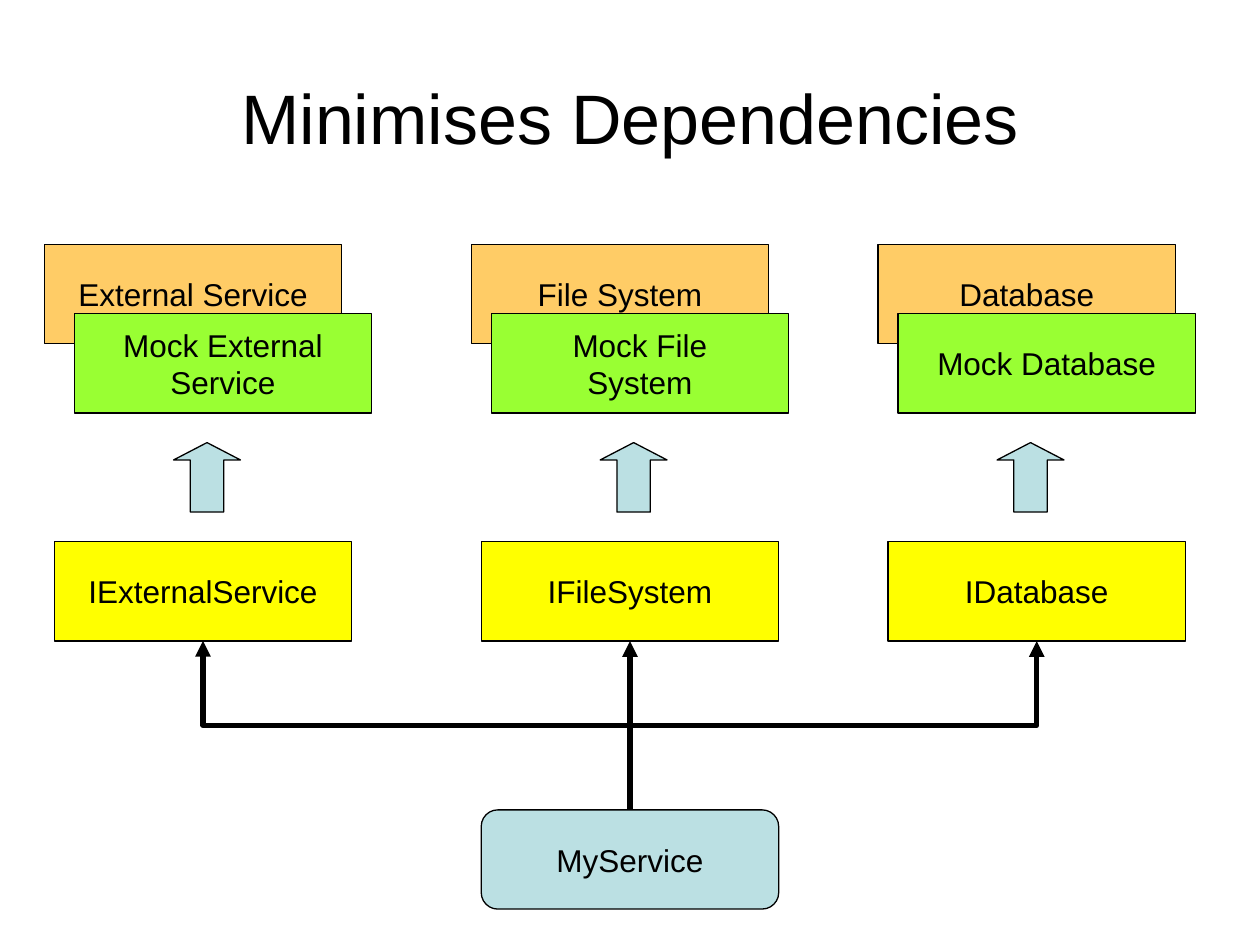
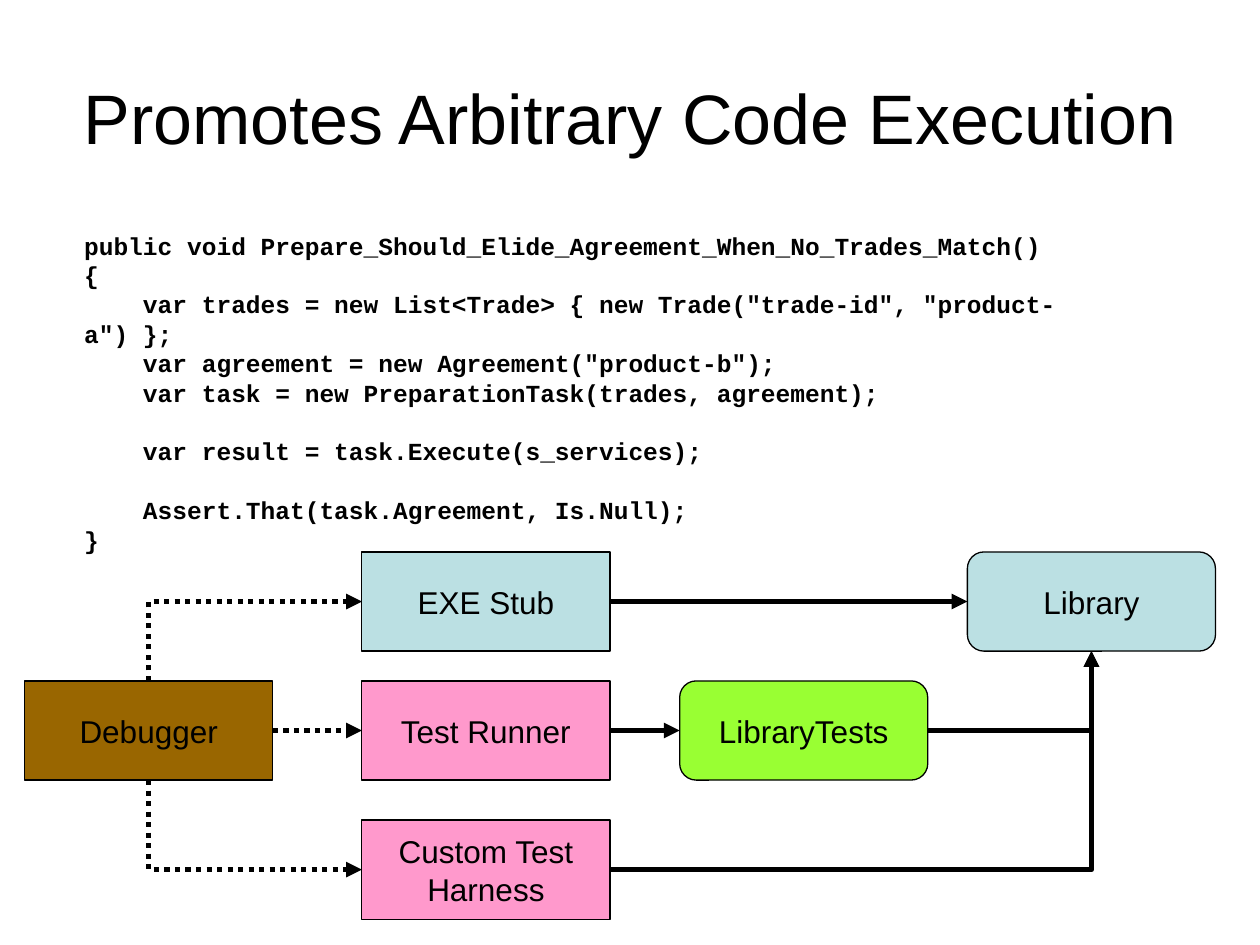
from typing import NamedTuple

import pptx
import pptx.dml.color
import pptx.enum.dml
import pptx.enum.shapes
import pptx.enum.text
import pptx.oxml
import pptx.oxml.ns
import pptx.presentation
import pptx.shapes.autoshape
import pptx.slide
import pptx.text.text
import pptx.util

Pt = pptx.util.Pt
RGB = pptx.dml.color.RGBColor
Kind = pptx.enum.shapes.MSO_SHAPE
Line = pptx.enum.shapes.MSO_CONNECTOR
Align = pptx.enum.text.PP_ALIGN
Anchor = pptx.enum.text.MSO_ANCHOR
Fit = pptx.enum.text.MSO_AUTO_SIZE
qn = pptx.oxml.ns.qn

# Shared look
BLACK = RGB(0x00, 0x00, 0x00)
BLUE = RGB(0xBB, 0xE0, 0xE3)
ORANGE = RGB(0xFF, 0xCC, 0x66)
GREEN = RGB(0x99, 0xFF, 0x33)
YELLOW = RGB(0xFF, 0xFF, 0x00)
PINK = RGB(0xFF, 0x99, 0xCC)
BROWN = RGB(0x99, 0x66, 0x00)
SANS, MONO = "Arial", "Courier New"
BOX = Kind.FLOWCHART_PROCESS
ROUND = Kind.FLOWCHART_ALTERNATE_PROCESS
TALL = 56.7  # height of every box
TOP, LEFT, BOTTOM, RIGHT = range(4)  # sides of a box


class Node(NamedTuple):
    text: str
    x: float
    y: float
    wide: float
    fill: RGB
    kind: Kind = BOX


class Stack(NamedTuple):
    """One column: a real service, its mock and their interface."""
    real: str
    mock: str
    face: str
    x: float
    shift: float  # from the interface to the mock
    arrow: float


class Link(NamedTuple):
    start: str
    out: int
    end: str
    into: int
    bend: str = ""  # preset of a bent line
    dots: bool = False


Shapes = dict[str, pptx.shapes.autoshape.Shape]


def add_run(para: pptx.text.text._Paragraph, text: str, size: float,
            face: str = SANS, bold: bool = False) -> None:
    run = para.add_run()
    run.text = text
    run.font.name = face
    run.font.size = Pt(size)
    run.font.bold = bold
    run.font.color.rgb = BLACK


def add_page(deck: pptx.presentation.Presentation, text: str) -> pptx.slide.Slide:
    page = deck.slides.add_slide(deck.slide_layouts[5])
    title = page.shapes.title
    title.left, title.top, title.width, title.height = Pt(36), Pt(21.6), Pt(648), Pt(90)
    frame = title.text_frame
    frame.auto_size = Fit.NONE
    frame.vertical_anchor = Anchor.MIDDLE
    frame.paragraphs[0].alignment = Align.CENTER
    add_run(frame.paragraphs[0], text, 40)
    return page


def add_shape(page: pptx.slide.Slide, kind: Kind, x: float, y: float, wide: float,
              tall: float, fill: RGB) -> pptx.shapes.autoshape.Shape:
    shape = page.shapes.add_shape(kind, Pt(x), Pt(y), Pt(wide), Pt(tall))
    shape.shadow.inherit = False
    shape.fill.solid()
    shape.fill.fore_color.rgb = fill
    shape.line.color.rgb = BLACK
    shape.line.width = Pt(0.75)
    return shape


def add_nodes(page: pptx.slide.Slide, nodes: list[Node]) -> Shapes:
    shapes = {}
    for node in nodes:
        shape = add_shape(page, node.kind, node.x, node.y, node.wide, TALL, node.fill)
        frame = shape.text_frame
        frame.word_wrap = False
        frame.vertical_anchor = Anchor.MIDDLE
        for i, text in enumerate(node.text.split("\n")):
            para = frame.add_paragraph() if i else frame.paragraphs[0]
            para.alignment = Align.CENTER
            add_run(para, text, 18)
        shapes[node.text] = shape
    return shapes


def add_link(page: pptx.slide.Slide, shapes: Shapes, link: Link) -> None:
    style = Line.ELBOW if link.bend else Line.STRAIGHT
    line = page.shapes.add_connector(style, 0, 0, 0, 0)
    line.begin_connect(shapes[link.start], link.out)
    line.end_connect(shapes[link.end], link.into)
    line.line.color.rgb = BLACK
    line.line.width = Pt(3)
    if link.dots:
        line.line.dash_style = pptx.enum.dml.MSO_LINE.ROUND_DOT
    props = line.element.spPr
    if link.bend:
        props.find(qn("a:prstGeom")).set("prst", link.bend)
        if link.out in (TOP, BOTTOM):
            turn(line)
    tail = pptx.oxml.parse_xml(f'<a:tailEnd {pptx.oxml.ns.nsdecls("a")} type="triangle"/>')
    props.find(qn("a:ln")).append(tail)
    props.append(pptx.oxml.parse_xml(f'<a:effectLst {pptx.oxml.ns.nsdecls("a")}/>'))


def turn(line: pptx.shapes.connector.Connector) -> None:
    """Make a bent line leave its start upright: a quarter turn about its centre."""
    rise = line.end_y < line.begin_y
    back = line.end_x < line.begin_x
    wide, tall = line.width, line.height
    line.left += (wide - tall) // 2
    line.top += (tall - wide) // 2
    line.width, line.height = tall, wide
    frame = line.element.spPr.find(qn("a:xfrm"))
    frame.set("rot", str((270 if rise else 90) * 60000))
    frame.set("flipH", "0")
    frame.set("flipV", str(int(rise == back)))


def add_code(page: pptx.slide.Slide, code: str) -> None:
    box = page.shapes.add_textbox(Pt(41), Pt(128.2), Pt(620.6), Pt(175.7))
    frame = box.text_frame
    frame.word_wrap = False
    para, gap = frame.paragraphs[0], False
    for i, text in enumerate(code.split("\n")):
        if not text:
            gap = True
            continue
        if i:
            para = frame.add_paragraph()
        if gap:
            para.space_before = Pt(16.8)
        gap = False
        add_run(para, text, 14, MONO, True)


# Slide 1: services behind interfaces
WIDE = 170
STACKS = [
    Stack("External Service", "Mock External\nService", "IExternalService", 31, 11.4, 99.2),
    Stack("File System", "Mock File\nSystem", "IFileSystem", 275, 5.7, 343),
    Stack("Database", "Mock Database", "IDatabase", 507.4, 5.7, 569.8),
]


def add_mocks(deck: pptx.presentation.Presentation) -> None:
    page = add_page(deck, "Minimises Dependencies")
    nodes = [Node("MyService", 275, 462.8, WIDE, BLUE, ROUND)]
    for stack in STACKS:
        nodes += [
            Node(stack.real, stack.x - 5.7, 139.7, WIDE, ORANGE),
            Node(stack.mock, stack.x + stack.shift, 179.3, WIDE, GREEN),
            Node(stack.face, stack.x, 309.6, WIDE, YELLOW),
        ]
        arrow = add_shape(page, Kind.UP_ARROW, stack.arrow, 252.9, 38.2, 39.7, BLUE)
        arrow.adjustments[1] = 0.26
    shapes = add_nodes(page, nodes)
    for stack, bend in zip(STACKS, ("bentConnector3", "", "bentConnector3")):
        add_link(page, shapes, Link("MyService", TOP, stack.face, BOTTOM, bend))


# Slide 2: ways to run the library
SLIM = 141.8
MID = 206.8
ROWS = (315.4, 389.1, 468.6)
NODES = [
    Node("Library", 552.8, ROWS[0], SLIM, BLUE, ROUND),
    Node("EXE Stub", MID, ROWS[0], SLIM, BLUE),
    Node("Test Runner", MID, ROWS[1], SLIM, PINK),
    Node("LibraryTests", 388.4, ROWS[1], SLIM, GREEN, ROUND),
    Node("Debugger", 14.1, ROWS[1], SLIM, BROWN),
    Node("Custom Test\nHarness", MID, ROWS[2], SLIM, PINK),
]
LINKS = [
    Link("Test Runner", RIGHT, "LibraryTests", LEFT),
    Link("EXE Stub", RIGHT, "Library", LEFT),
    Link("Debugger", TOP, "EXE Stub", LEFT, "bentConnector2", True),
    Link("Debugger", RIGHT, "Test Runner", LEFT, dots=True),
    Link("Debugger", BOTTOM, "Custom Test\nHarness", LEFT, "bentConnector2", True),
    Link("LibraryTests", RIGHT, "Library", BOTTOM, "bentConnector2"),
    Link("Custom Test\nHarness", RIGHT, "Library", BOTTOM, "bentConnector2"),
]
CODE = """public void Prepare_Should_Elide_Agreement_When_No_Trades_Match()
{
    var trades = new List<Trade> { new Trade("trade-id", "product-a") };
    var agreement = new Agreement("product-b");
    var task = new PreparationTask(trades, agreement);

    var result = task.Execute(s_services);

    Assert.That(task.Agreement, Is.Null);
}"""


def add_runs(deck: pptx.presentation.Presentation) -> None:
    page = add_page(deck, "Promotes Arbitrary Code Execution")
    add_code(page, CODE)
    shapes = add_nodes(page, NODES)
    for link in LINKS:
        add_link(page, shapes, link)


def main() -> None:
    deck = pptx.Presentation()
    deck.slide_width, deck.slide_height = Pt(720), Pt(540)
    add_mocks(deck)
    add_runs(deck)
    deck.save("out.pptx")


if __name__ == "__main__":
    main()
